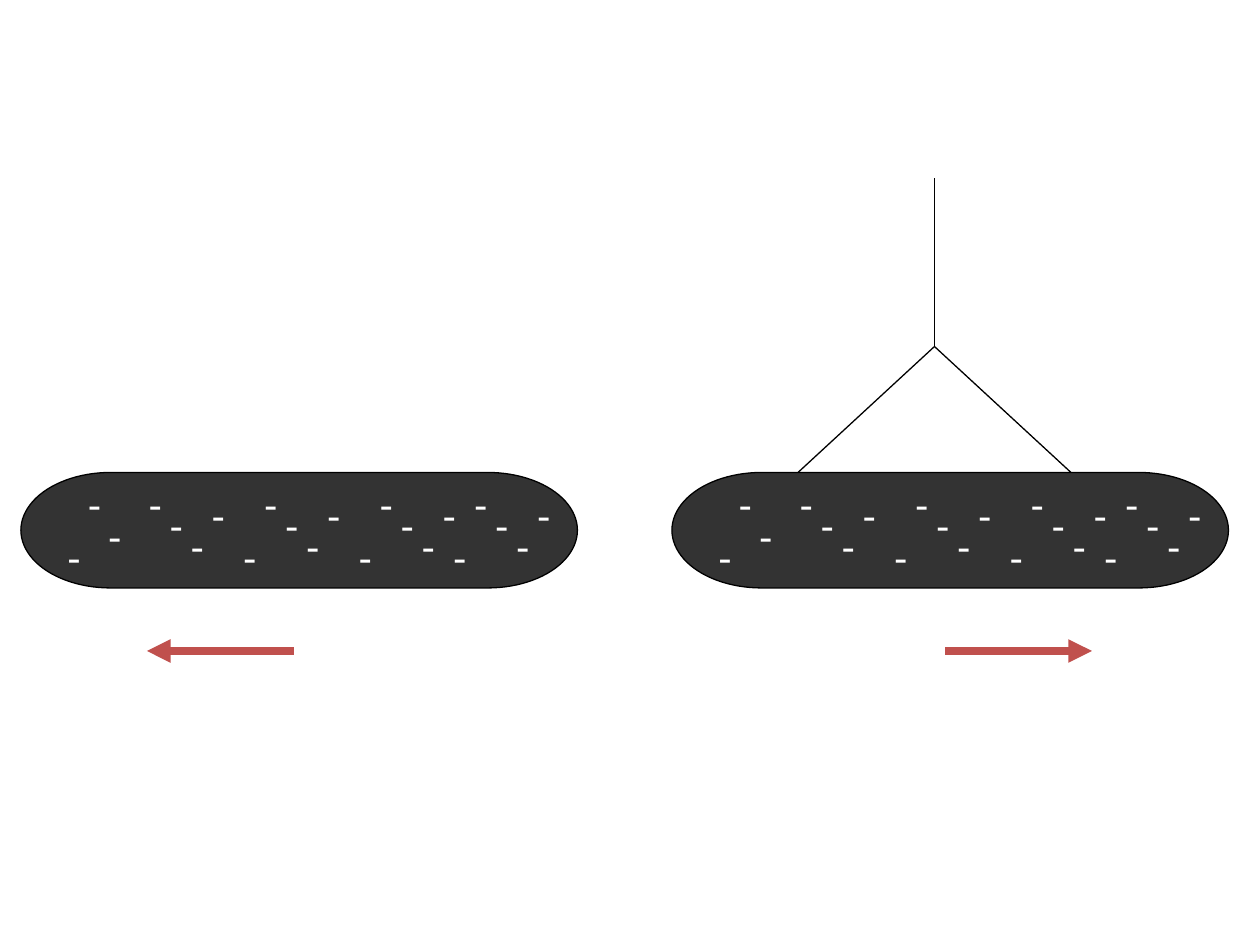
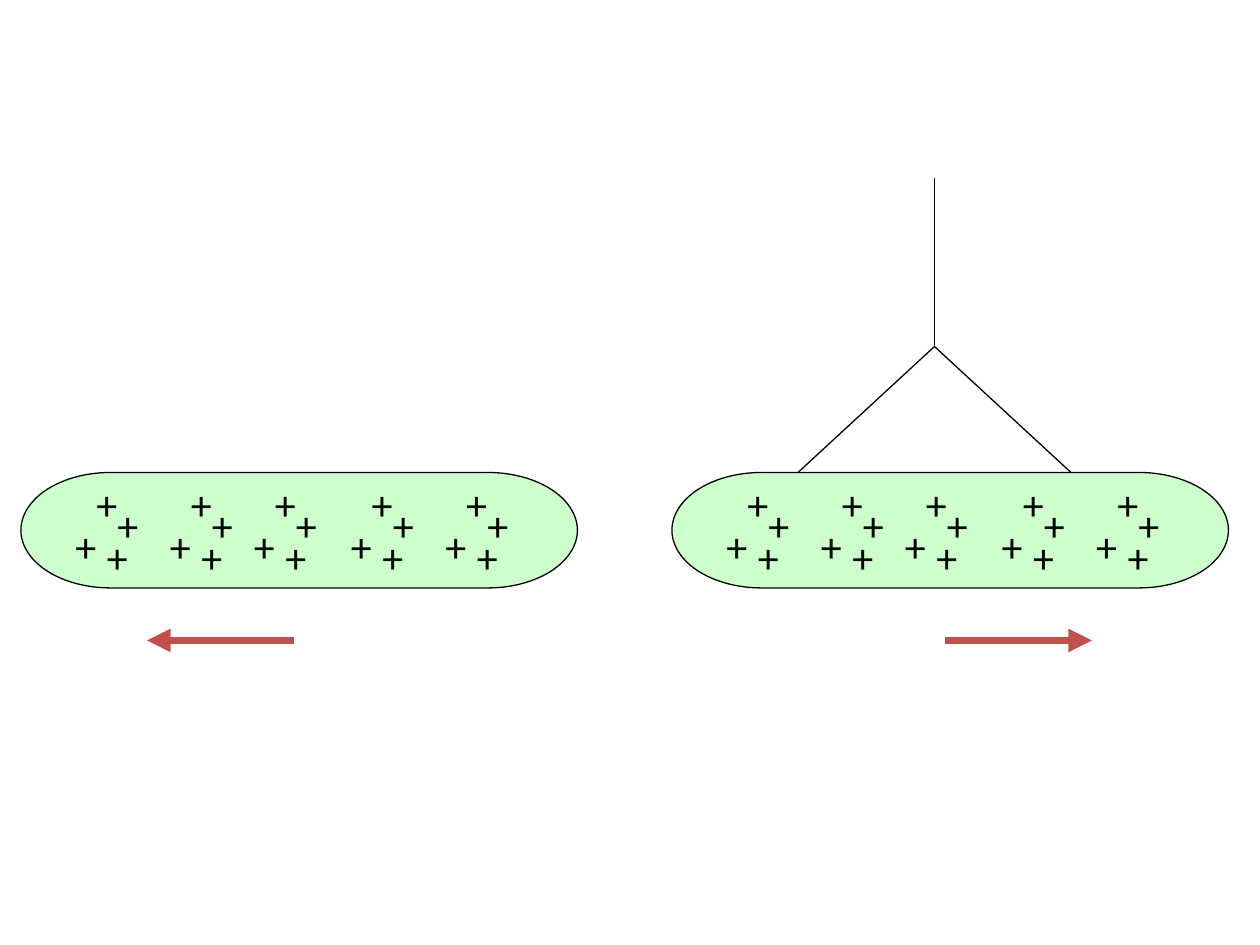
from lxml import etree
from pptx import Presentation, util as u
from pptx.dml.color import RGBColor
from pptx.enum import shapes, text
from pptx.oxml.ns import qn

BLACK, WHITE, RED = "000000", "FFFFFF", "C0504D"
FONT, CHARGE_SIZE = "Calibri", 24
CHARGE_HEIGHT = 0.5

GRID_STEPS_PER_INCH = 12
ROD_TOP, ROD_WIDTH, ROD_HEIGHT = 45, 53, 11
ARROW_LENGTH = 14

RODS = [
    {"left": 2, "hung": False, "arrow_start": 28, "direction": -1},
    {"left": 64, "hung": True, "arrow_start": 90, "direction": 1},
]
STRINGS = [((89, 17), (89, 33)), ((89, 33), (76, ROD_TOP)), ((89, 33), (102, ROD_TOP))]

MINUS_CLUSTER = [(2, 2), (4, 4), (0, 0), (-2, 5), (6, 1)]
MINUS_CLUSTER_STARTS = [42, 22, 33]
MINUS_LEFT_END = [(11, 0), (13, 2), (15, 4), (17, 1), (7.14, 3), (5.2, 0), (3.25, 5)]
PLUS_CLUSTER = [(0, 0), (2, 2), (1, 5), (-2, 4)]
PLUS_CLUSTER_STARTS = [6, 15, 23, 32.23, 41.23]


def repeat_cluster(cluster, starts):
    return [(start + dx, dy) for start in starts for dx, dy in cluster]


SLIDES = [
    {"rod_color": "333333", "sign": "-", "sign_color": WHITE, "sign_width": 0.31,
     "charges": repeat_cluster(MINUS_CLUSTER, MINUS_CLUSTER_STARTS) + MINUS_LEFT_END,
     "arrow_y": 62},
    {"rod_color": "CCFFCC", "sign": "+", "sign_color": BLACK, "sign_width": 0.4,
     "charges": repeat_cluster(PLUS_CLUSTER, PLUS_CLUSTER_STARTS),
     "arrow_y": 61},
]


def color(hex_string):
    return RGBColor.from_string(hex_string)


def grid(*steps):
    return [u.Inches(step / GRID_STEPS_PER_INCH) for step in steps]


def add_line(parent, start, end, line_color=BLACK, width=0.75, arrow=False):
    line = parent.shapes.add_connector(shapes.MSO_CONNECTOR.STRAIGHT, *grid(*start, *end))
    line.line.color.rgb = color(line_color)
    line.line.width = u.Pt(width)
    if arrow:
        etree.SubElement(line.line._get_or_add_ln(), qn("a:tailEnd"), type="triangle")
    etree.SubElement(line._element.spPr, qn("a:effectLst"))


def add_rod(parent, left, fill_color):
    rod = parent.shapes.add_shape(
        shapes.MSO_SHAPE.FLOWCHART_TERMINATOR, *grid(left, ROD_TOP, ROD_WIDTH, ROD_HEIGHT))
    rod.shadow.inherit = False
    rod.fill.solid()
    rod.fill.fore_color.rgb = color(fill_color)
    rod.line.color.rgb = color(BLACK)
    rod.line.width = u.Pt(0.75)


def add_charge(parent, left, top, content):
    box = parent.shapes.add_textbox(
        *grid(left, top), u.Inches(content["sign_width"]), u.Inches(CHARGE_HEIGHT))
    frame = box.text_frame
    frame.text = content["sign"]
    frame.word_wrap = False
    frame.auto_size = text.MSO_AUTO_SIZE.SHAPE_TO_FIT_TEXT
    font = frame.paragraphs[0].runs[0].font
    font.name, font.size = FONT, u.Pt(CHARGE_SIZE)
    font.color.rgb = color(content["sign_color"])


def add_charged_rod(slide, rod, content):
    group = slide.shapes.add_group_shape()
    add_rod(group, rod["left"], content["rod_color"])
    if rod["hung"]:
        for start, end in STRINGS:
            add_line(group, start, end)
    for dx, dy in content["charges"]:
        add_charge(group, rod["left"] + dx, ROD_TOP + dy, content)


def add_motion_arrow(slide, rod, y):
    start = rod["arrow_start"]
    end = start + rod["direction"] * ARROW_LENGTH
    add_line(slide, (start, y), (end, y), RED, 4.5, arrow=True)


def main():
    presentation = Presentation()
    presentation.slide_width, presentation.slide_height = u.Inches(10), u.Inches(7.5)
    for content in SLIDES:
        slide = presentation.slides.add_slide(presentation.slide_layouts[6])
        for rod in RODS:
            add_charged_rod(slide, rod, content)
        for rod in RODS:
            add_motion_arrow(slide, rod, content["arrow_y"])
    presentation.save("out.pptx")


if __name__ == "__main__":
    main()
